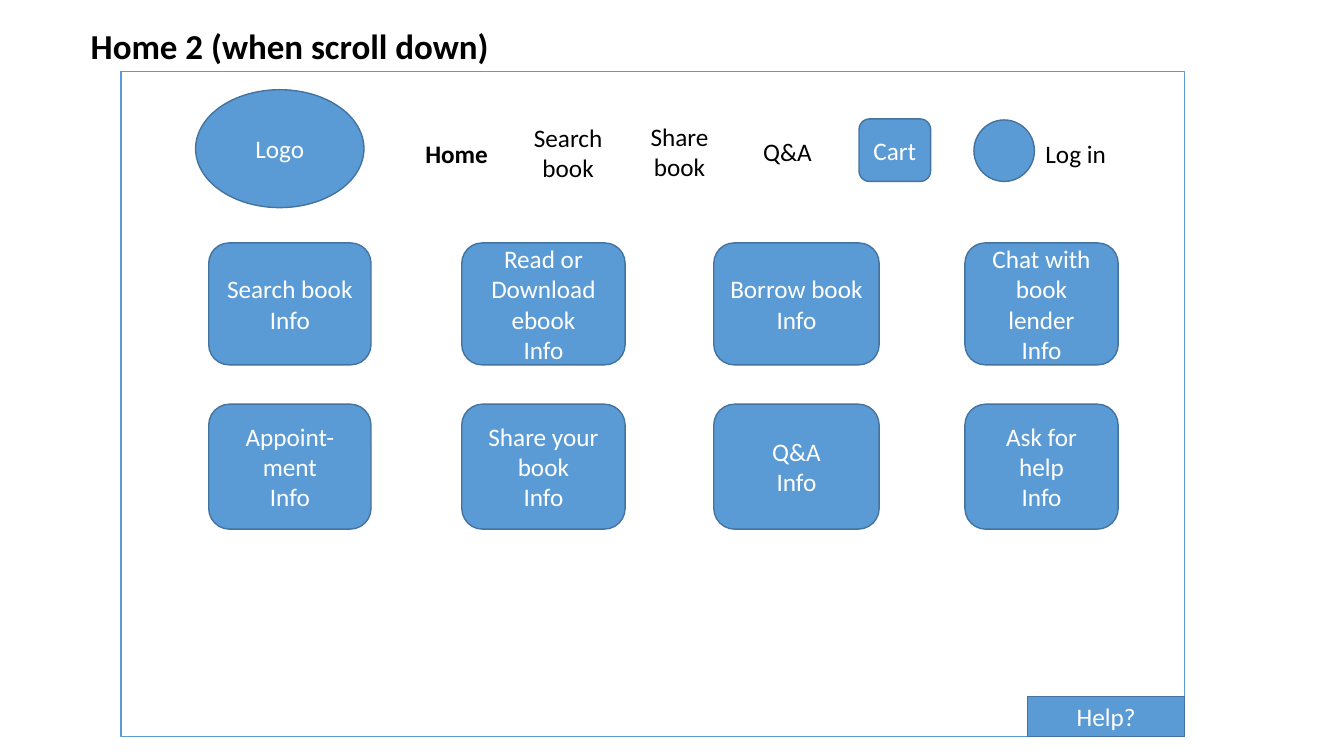
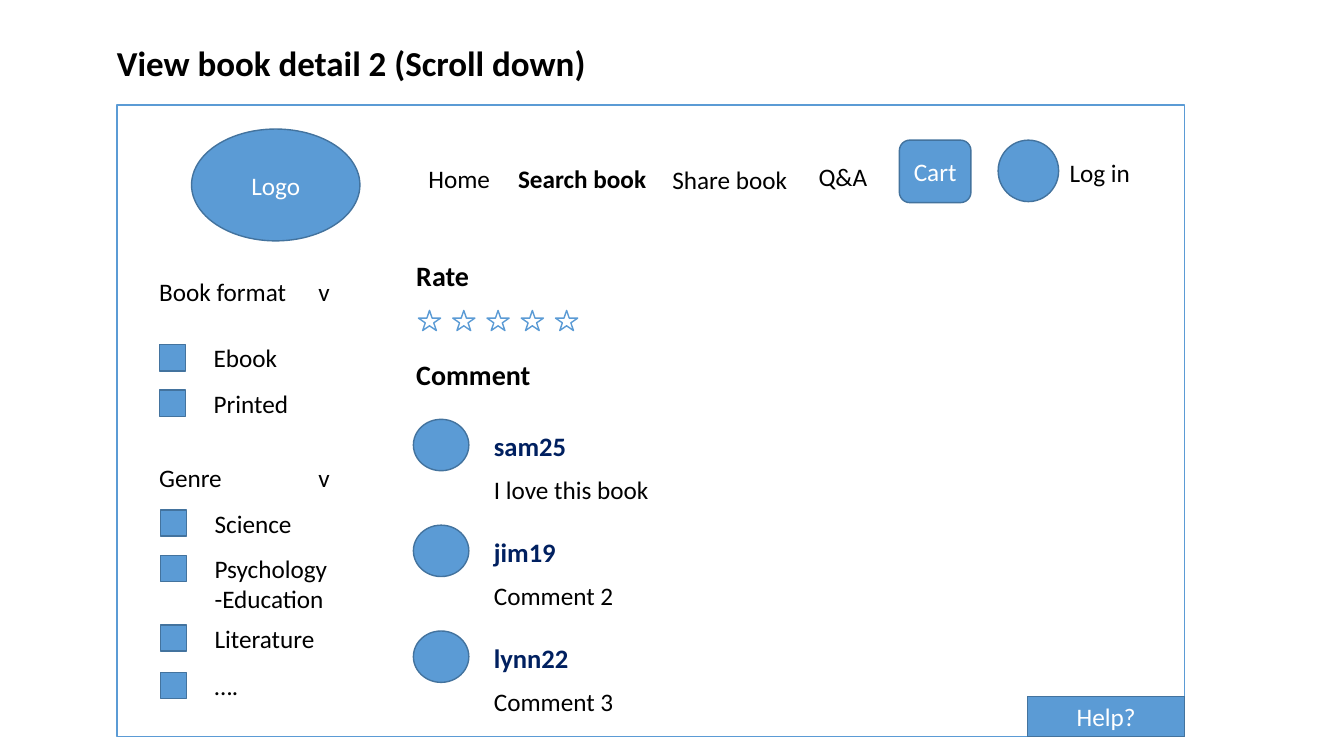
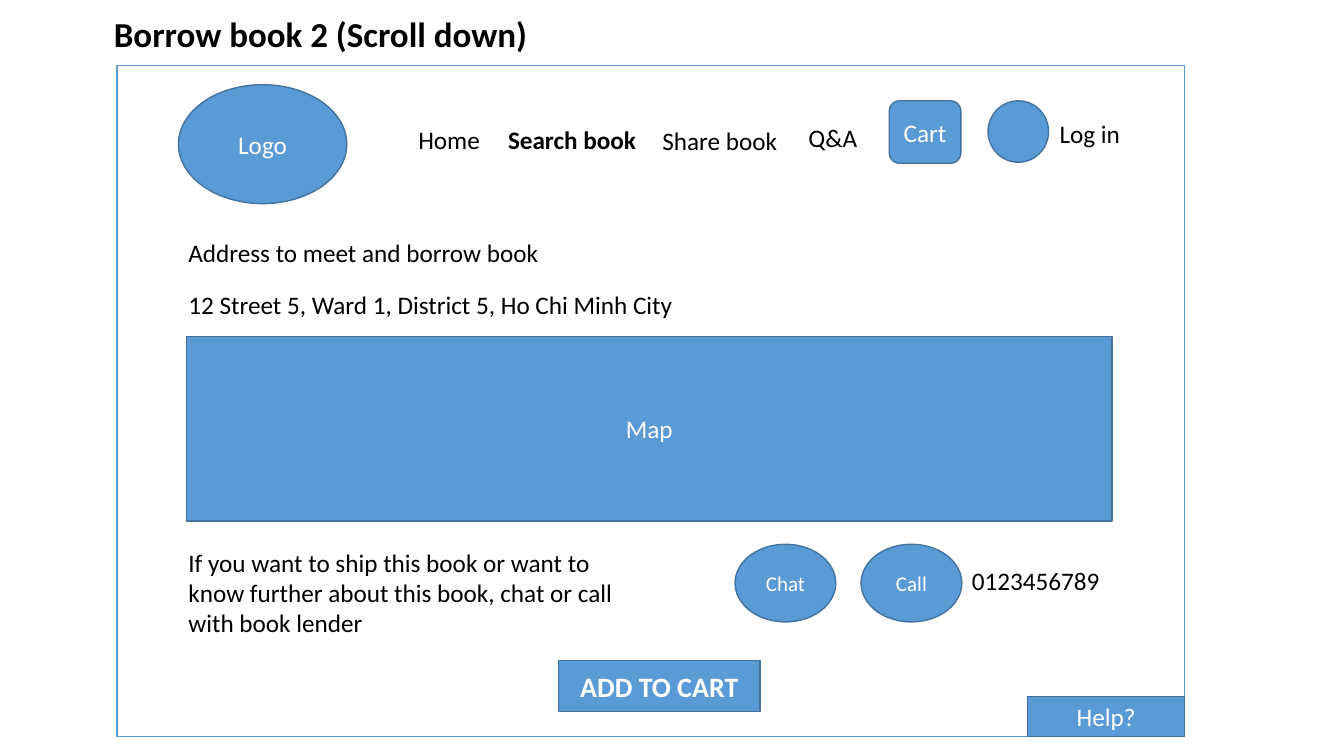
import pptx
import pptx.dml.color
import pptx.enum.shapes
import pptx.enum.text
import pptx.util
from dataclasses import dataclass
from lxml import etree

Inches = pptx.util.Inches
Pt = pptx.util.Pt
MSO_SHAPE = pptx.enum.shapes.MSO_SHAPE
PP_ALIGN = pptx.enum.text.PP_ALIGN
MSO_ANCHOR = pptx.enum.text.MSO_ANCHOR
MSO_AUTO_SIZE = pptx.enum.text.MSO_AUTO_SIZE


@dataclass(frozen=True)
class Theme:
    font: str = "Calibri"
    ink: str = "000000"
    paper: str = "FFFFFF"
    accent: str = "5B9BD5"
    edge: str = "43739E"
    user: str = "002060"
    title: int = 25
    heading: int = 20
    name: int = 19
    body: int = 18
    small: int = 15
    line: int = 1
    right: float = 11.75
    bottom: float = 7.31


class Wireframe:
    """Draws web page wireframes in one shared style."""

    def __init__(self, prs, theme):
        self.prs = prs
        self.theme = theme
        self.s = None

    def color(self, value):
        return pptx.dml.color.RGBColor.from_string(value)

    def format(self, tf, size, color, bold, align):
        for p in tf.paragraphs:
            p.alignment = align
            for r in p.runs:
                r.font.name = self.theme.font
                r.font.size = Pt(size)
                r.font.bold = bold
                r.font.color.rgb = self.color(color)

    def page(self, title, x, y, w):
        self.s = self.prs.slides.add_slide(self.prs.slide_layouts[5])
        sp = self.s.shapes.title
        sp.left, sp.top, sp.width, sp.height = map(Inches, (x, y, w, 0.52))
        tf = sp.text_frame
        tf.text = title
        tf.word_wrap = False
        tf.auto_size = MSO_AUTO_SIZE.SHAPE_TO_FIT_TEXT
        tf.vertical_anchor = MSO_ANCHOR.TOP
        self.format(tf, self.theme.title, self.theme.ink, True, PP_ALIGN.LEFT)

    def text(self, text, x, y, w, h=0.4, size=None, color=None, bold=False,
             align=PP_ALIGN.LEFT, tab=None):
        sp = self.s.shapes.add_textbox(*map(Inches, (x, y, w, h)))
        tf = sp.text_frame
        tf.text = text
        tf.word_wrap = True
        tf.auto_size = MSO_AUTO_SIZE.SHAPE_TO_FIT_TEXT
        self.format(tf, size or self.theme.body, color or self.theme.ink, bold, align)
        if tab:
            pPr = tf.paragraphs[0]._p.get_or_add_pPr()
            ns = pPr.nsmap["a"]
            tabs = etree.SubElement(pPr, f"{{{ns}}}tabLst")
            etree.SubElement(tabs, f"{{{ns}}}tab", pos=str(Inches(tab)), algn="l")

    def shape(self, kind, x, y, w, h, text="", size=None, bold=False, outline=False):
        sp = self.s.shapes.add_shape(kind, *map(Inches, (x, y, w, h)))
        sp.shadow.inherit = False
        sp.fill.solid()
        sp.fill.fore_color.rgb = self.color(self.theme.paper if outline else self.theme.accent)
        sp.line.color.rgb = self.color(self.theme.accent if outline else self.theme.edge)
        sp.line.width = Pt(self.theme.line)
        if text:
            tf = sp.text_frame
            tf.text = text
            tf.word_wrap = True
            tf.vertical_anchor = MSO_ANCHOR.MIDDLE
            self.format(tf, size or self.theme.body, self.theme.paper, bold, PP_ALIGN.CENTER)

    def frame(self, x, y, logo):
        right, bottom = self.theme.right, self.theme.bottom
        self.shape(MSO_SHAPE.RECTANGLE, x, y, right - x, bottom - y, outline=True)
        self.shape(MSO_SHAPE.OVAL, *logo, "Logo")
        self.shape(MSO_SHAPE.RECTANGLE, right - 1.56, bottom - 0.4, 1.56, 0.4, "Help?")

    def account(self, cart, user, login):
        self.shape(MSO_SHAPE.ROUNDED_RECTANGLE, *cart, 0.71, 0.62, "Cart")
        self.shape(MSO_SHAPE.OVAL, *user, 0.6, 0.61)
        self.text("Log in", *login, 1.02)

    def menu(self, x, y):
        self.text("Home", x, y, 0.92)
        self.text("Search book", x + 0.89, y, 1.48, bold=True)
        self.text("Share book", x + 2.42, y + 0.01, 1.48)
        self.text("Q&A", x + 3.87, y - 0.02, 0.72)
        self.account((x + 4.77, y - 0.18), (x + 5.75, y - 0.18), (x + 6.36, y - 0.06))

    def option(self, text, x, y):
        self.shape(MSO_SHAPE.RECTANGLE, x, y + 0.07, 0.26, 0.26)
        self.text(text, x + 0.44, y, 1.36)

    def comment(self, user, text, y):
        self.shape(MSO_SHAPE.OVAL, 4.1, y, 0.55, 0.51)
        self.text(user, 4.8, y + 0.06, 3.01, size=self.theme.name,
                  color=self.theme.user, bold=True)
        self.text(text, 4.8, y + 0.5, 2.53)


def home(w):
    w.page("Home 2 (when scroll down)", 0.8, 0.19, 4.19)
    w.frame(1.2, 0.71, (1.94, 0.89, 1.67, 1.17))
    w.text("Home", 4.12, 1.32, 0.92, bold=True)
    w.text("Search book", 5, 1.16, 1.27, 0.73, align=PP_ALIGN.CENTER)
    w.text("Share\nbook", 6.28, 1.15, 0.92, 0.73, align=PP_ALIGN.CENTER)
    w.text("Q&A", 7.47, 1.3, 0.72)
    w.account((8.52, 1.18), (9.66, 1.19), (10.27, 1.32))
    columns = ((2.07, 1.61), (4.58, 1.62), (7.08, 1.64), (9.57, 1.52))
    rows = (
        (2.41, 1.21, ("Search book", "Read or Download ebook", "Borrow book",
                      "Chat with book lender")),
        (4.01, 1.24, ("Appoint-ment", "Share your book", "Q&A", "Ask for help")),
    )
    for y, height, topics in rows:
        for (x, width), topic in zip(columns, topics):
            w.shape(MSO_SHAPE.ROUNDED_RECTANGLE, x, y, width, height, f"{topic}\nInfo")


def book_detail(w):
    w.page("View book detail 2 (Scroll down)", 1.06, 0.36, 4.9)
    w.frame(1.16, 1.04, (1.9, 1.28, 1.67, 1.11))
    w.menu(4.15, 1.57)
    for heading, y in (("Rate", 2.52), ("Comment", 3.5)):
        w.text(heading, 4.03, y, 1.38, 0.44, size=w.theme.heading, bold=True)
    for i in range(5):
        w.shape(MSO_SHAPE.STAR_5_POINT, 4.15 + i * 0.34, 3.08, 0.22, 0.2, outline=True)
    filters = (
        ("Book format", 2.69, 1.58, (("Ebook", 3.35), ("Printed", 3.8))),
        ("Genre", 4.54, 1.59, (("Science", 4.99), ("Psychology-Education", 5.44),
                               ("Literature", 6.13), ("….", 6.6))),
    )
    for label, y, x, options in filters:
        w.text(f"{label}\tv", 1.48, y, 2.19, tab=1.58)
        for option, top in options:
            w.option(option, x, top)
    comments = (("sam25", "I love this book"), ("jim19", "Comment 2"), ("lynn22", "Comment 3"))
    for i, (user, text) in enumerate(comments):
        w.comment(user, text, 4.16 + i * 1.05)


def borrow_book(w):
    w.page("Borrow book 2 (Scroll down)", 1.03, 0.07, 4.98)
    w.frame(1.16, 0.65, (1.77, 0.84, 1.67, 1.18))
    w.menu(4.05, 1.18)
    w.text("Address to meet and borrow book", 1.77, 2.31, 6.09)
    w.text("12 Street 5, Ward 1, District 5, Ho Chi Minh City", 1.77, 2.82, 6.09)
    w.shape(MSO_SHAPE.RECTANGLE, 1.85, 3.34, 9.18, 1.83, "Map")
    w.text("If you want to ship this book or want to know further about this book, "
           "chat or call with book lender", 1.77, 5.38, 4.78, 1.01)
    for label, x in (("Chat", 7.29), ("Call", 8.54)):
        w.shape(MSO_SHAPE.OVAL, x, 5.4, 1, 0.77, label, size=w.theme.small)
    w.text("0123456789", 9.54, 5.56, 1.7)
    w.shape(MSO_SHAPE.RECTANGLE, 5.54, 6.55, 2, 0.51, "ADD TO CART",
            size=w.theme.heading, bold=True)


prs = pptx.Presentation()
prs.slide_width, prs.slide_height = Inches(13.33), Inches(7.5)
wireframe = Wireframe(prs, Theme())
for draw in (home, book_detail, borrow_book):
    draw(wireframe)
prs.save("out.pptx")
